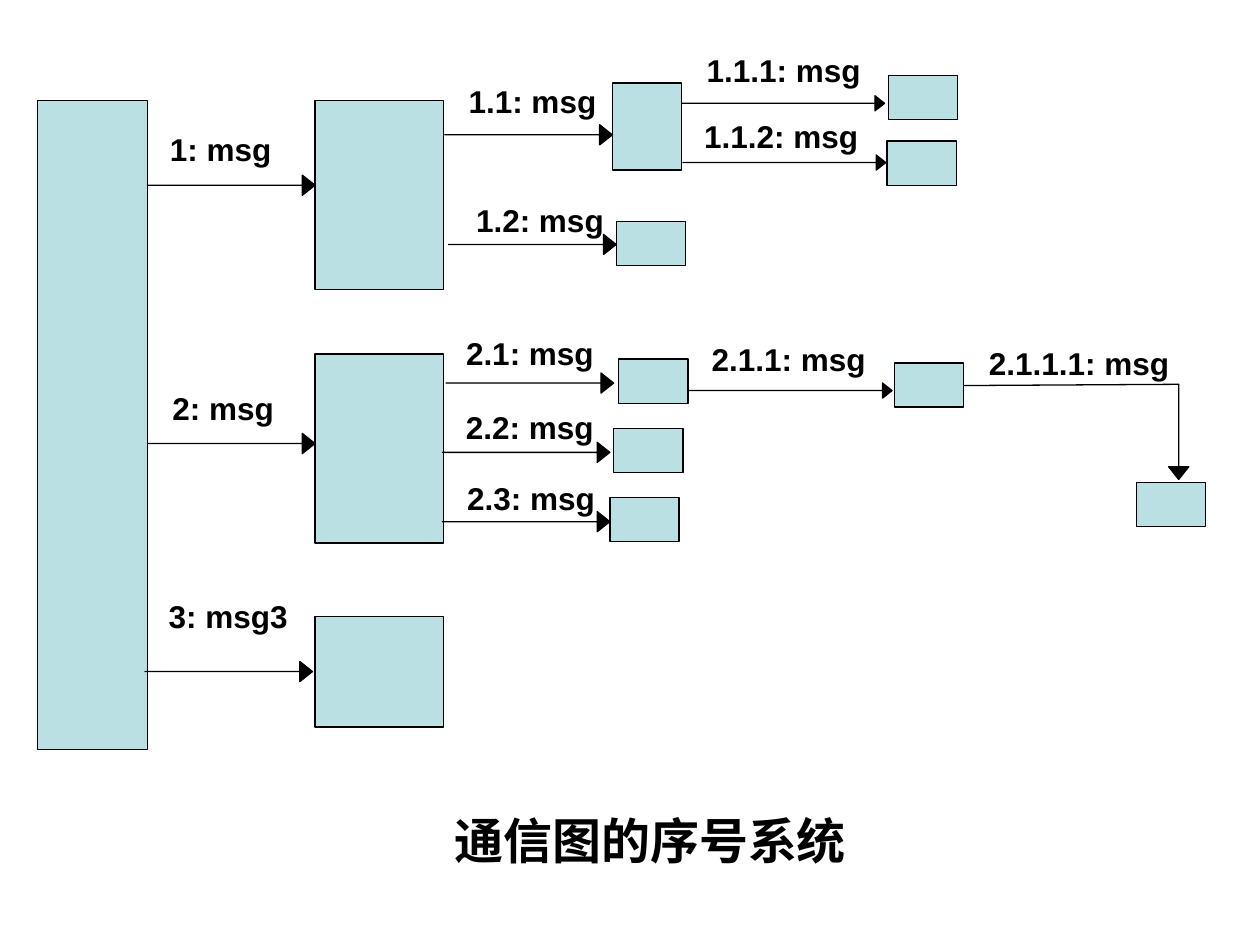
from dataclasses import dataclass

import lxml.etree
import pptx
import pptx.dml.color
import pptx.enum.shapes
import pptx.enum.text
import pptx.oxml.ns
import pptx.util

EMU_PER_PX = 9144
SHAPES = pptx.enum.shapes.MSO_SHAPE


@dataclass(frozen=True)
class Theme:
    ink: pptx.dml.color.RGBColor = pptx.dml.color.RGBColor(0, 0, 0)
    box_fill: pptx.dml.color.RGBColor = pptx.dml.color.RGBColor(0xBB, 0xE0, 0xE3)
    title_font: str = "Noto Sans CJK SC"
    label_font: str = "Arial"
    title_size: int = 28
    label_size: int = 18
    line_width: float = 0.75
    head_ratio: float = 0.633


@dataclass(frozen=True)
class Participant:
    left: int
    top: int
    width: int = 55
    height: int = 35


@dataclass(frozen=True)
class Label:
    text: str
    left: int
    top: int
    width: int = 126


@dataclass(frozen=True)
class Arrow:
    left: int
    top: int
    width: int = 133
    height: int = 16
    rotation: int = 180


THEME = Theme()

PARTICIPANTS = [
    Participant(30, 80, 87, 515),
    Participant(250, 80, 102, 150),
    Participant(250, 281, 102, 150),
    Participant(250, 489, 102, 88),
    Participant(486, 66, 55, 69),
    Participant(705, 60),
    Participant(704, 112),
    Participant(489, 176),
    Participant(491, 285),
    Participant(487, 340),
    Participant(484, 395),
    Participant(710, 288),
    Participant(902, 383),
]

LABELS = [
    Label("1: msg", 125, 98),
    Label("2: msg", 127, 304),
    Label("3: msg3", 124, 469),
    Label("1.1: msg", 362, 60, 149),
    Label("1.2: msg", 368, 155),
    Label("1.1.1: msg", 551, 36, 150),
    Label("1.1.2: msg", 549, 88, 150),
    Label("2.1: msg", 360, 260, 149),
    Label("2.2: msg", 360, 319),
    Label("2.3: msg", 361, 375),
    Label("2.1.1: msg", 555, 265, 149),
    Label("2.1.1.1: msg", 775, 268, 177),
]

ARROWS = [
    Arrow(117, 139),
    Arrow(117, 344),
    Arrow(115, 525),
    Arrow(353, 99),
    Arrow(356, 186),
    Arrow(354, 296),
    Arrow(351, 351),
    Arrow(351, 406),
    Arrow(542, 123, 161, 12),
    Arrow(541, 76, 161, 12),
    Arrow(547, 304, 161, 12),
    Arrow(898, 335, 75, 16, 270),
]


def px(length: int) -> pptx.util.Emu:
    return pptx.util.Emu(length * EMU_PER_PX)


def paint(shape, fill: pptx.dml.color.RGBColor) -> None:
    shape.shadow.inherit = False
    shape.fill.solid()
    shape.fill.fore_color.rgb = fill
    shape.line.color.rgb = THEME.ink
    shape.line.width = pptx.util.Pt(THEME.line_width)


def style_text(para, font_name: str, size: int) -> None:
    para.font.name = font_name
    para.font.size = pptx.util.Pt(size)
    para.font.bold = True
    para.font.color.rgb = THEME.ink


def draw_title(page, text: str) -> None:
    title = page.shapes.title
    title.left, title.top, title.width, title.height = map(px, (304, 635, 424, 63))
    frame = title.text_frame
    frame.text = text
    frame.word_wrap = True
    frame.auto_size = pptx.enum.text.MSO_AUTO_SIZE.NONE
    frame.vertical_anchor = pptx.enum.text.MSO_ANCHOR.MIDDLE
    frame.margin_left = frame.margin_right = frame.margin_top = frame.margin_bottom = 0
    para = frame.paragraphs[0]
    para.alignment = pptx.enum.text.PP_ALIGN.CENTER
    style_text(para, THEME.title_font, THEME.title_size)
    qn = pptx.oxml.ns.qn
    latin = next(para._p.iter(qn("a:latin")))
    east_asian = lxml.etree.Element(qn("a:ea"), typeface=THEME.title_font)
    latin.addnext(east_asian)


def draw_participant(page, item: Participant) -> None:
    box = page.shapes.add_shape(
        SHAPES.RECTANGLE, *map(px, (item.left, item.top, item.width, item.height))
    )
    paint(box, THEME.box_fill)


def draw_label(page, label: Label) -> None:
    box = page.shapes.add_textbox(*map(px, (label.left, label.top, label.width, 40)))
    frame = box.text_frame
    frame.word_wrap = True
    frame.auto_size = pptx.enum.text.MSO_AUTO_SIZE.SHAPE_TO_FIT_TEXT
    frame.text = label.text
    style_text(frame.paragraphs[0], THEME.label_font, THEME.label_size)


def draw_arrow(page, item: Arrow) -> None:
    arrow = page.shapes.add_shape(
        SHAPES.LEFT_ARROW, *map(px, (item.left, item.top, item.width, item.height))
    )
    arrow.rotation = item.rotation
    arrow.adjustments[0] = 0
    arrow.adjustments[1] = THEME.head_ratio
    paint(arrow, THEME.ink)


def draw_line(page, left: int, top: int, right: int, bottom: int) -> None:
    line = page.shapes.add_connector(
        pptx.enum.shapes.MSO_CONNECTOR.STRAIGHT, *map(px, (left, top, right, bottom))
    )
    line.line.color.rgb = THEME.ink
    line.line.width = pptx.util.Pt(THEME.line_width)
    properties = line._element.spPr
    lxml.etree.SubElement(properties, pptx.oxml.ns.qn("a:effectLst"))


def main() -> None:
    deck = pptx.Presentation()
    deck.slide_width, deck.slide_height = px(1000), px(750)
    page = deck.slides.add_slide(deck.slide_layouts.get_by_name("Title Only"))
    draw_title(page, "通信图的序号系统")
    for participant in PARTICIPANTS:
        draw_participant(page, participant)
    for label in LABELS:
        draw_label(page, label)
    draw_line(page, 765, 306, 936, 305)
    for arrow in ARROWS:
        draw_arrow(page, arrow)
    deck.save("out.pptx")


if __name__ == "__main__":
    main()
